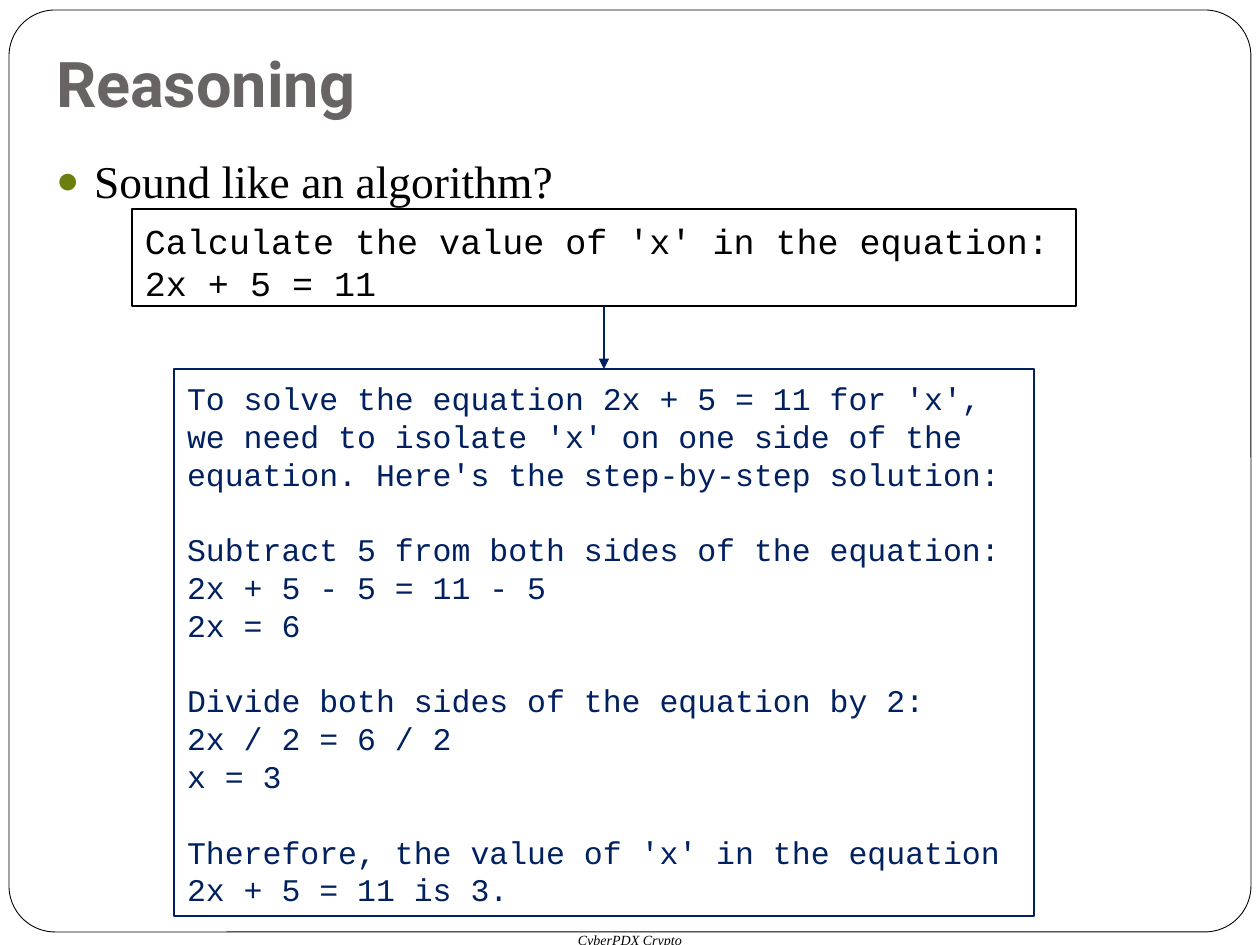
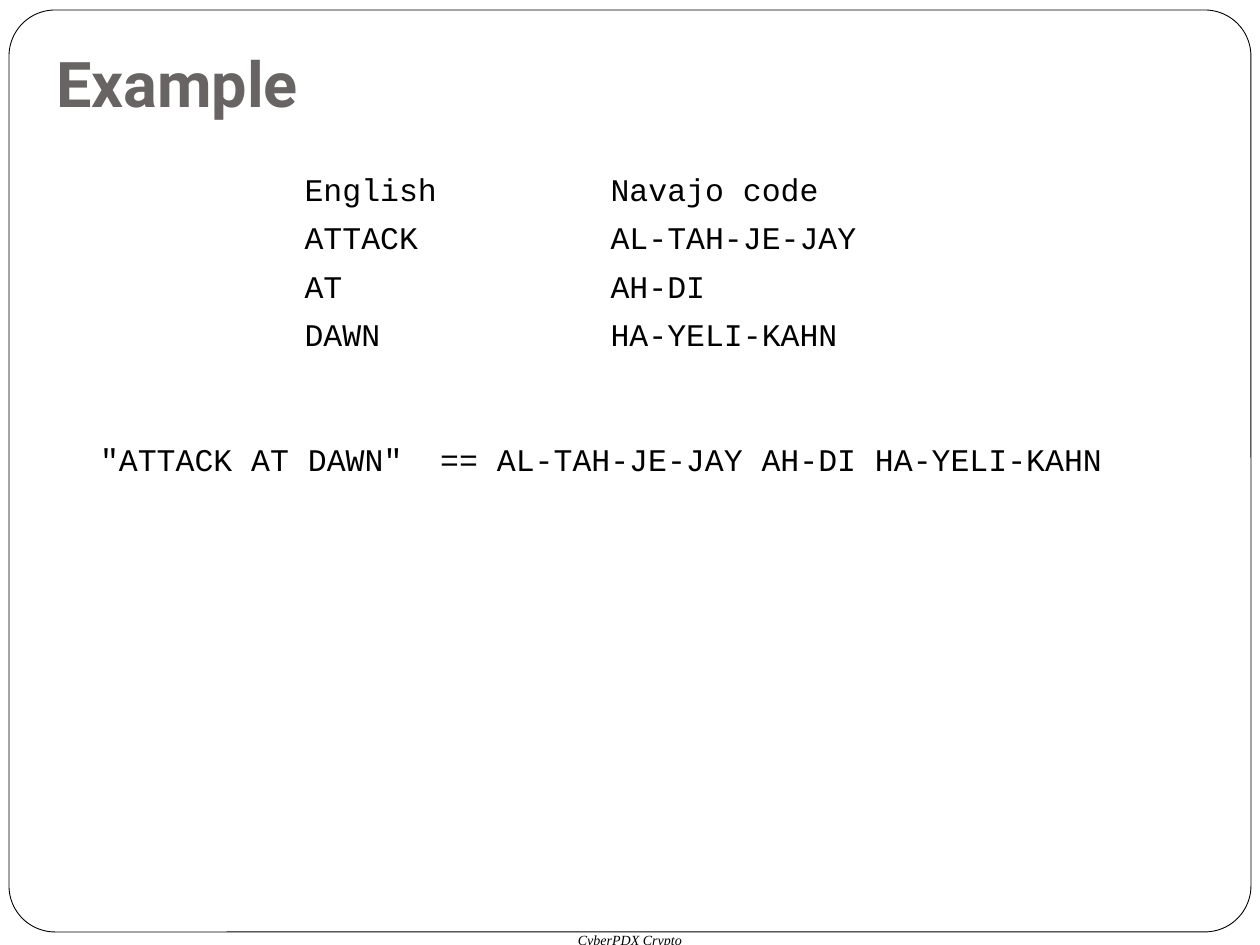
import pptx
import pptx.util
import pptx.dml.color
import pptx.enum.shapes
import pptx.enum.text
import pptx.oxml
import pptx.oxml.ns

PX = 914400 / 126
BLACK, NAVY, GREY, OLIVE = "000000", "002060", "696464", "6A7F10"
MONO, SERIF, SANS = "Courier New", "Times New Roman", "Roboto"
TOP = pptx.enum.text.MSO_ANCHOR.TOP
MIDDLE = pptx.enum.text.MSO_ANCHOR.MIDDLE
LEFT = pptx.enum.text.PP_ALIGN.LEFT
CENTER = pptx.enum.text.PP_ALIGN.CENTER
SHAPES = pptx.enum.shapes.MSO_SHAPE

FOOTER = "CyberPDX Crypto"
QUESTION = "Sound like an algorithm?"
PROMPT = [["Calculate the value of 'x' in the equation: 2x + 5 = 11"]]
ANSWER = [
    ["To solve the equation 2x + 5 = 11 for 'x', we need to isolate 'x' on one side "
     "of the equation. Here's the step-by-step solution:"],
    ["Subtract 5 from both sides of the equation:", "2x + 5 - 5 = 11 - 5", "2x = 6"],
    ["Divide both sides of the equation by 2:", "2x / 2 = 6 / 2", "x = 3"],
    ["Therefore, the value of 'x' in the equation 2x + 5 = 11 is 3."],
]
CODE_WORDS = [
    ("English", "Navajo code"),
    ("ATTACK", "AL-TAH-JE-JAY"),
    ("AT", "AH-DI"),
    ("DAWN", "HA-YELI-KAHN"),
]
MESSAGE = '"ATTACK AT DAWN"  == AL-TAH-JE-JAY AH-DI HA-YELI-KAHN'

FRAME_BOX = (9, 10, 1242, 922)
FOOTER_BOX = (0, 925, 1260, 20)
TITLE_BOX = (43, 29, 1174, 106)
QUESTION_BOX = (43, 135, 1174, 797)
PROMPT_BOX = (132, 209, 944, 97)
ANSWER_BOX = (174, 369, 860, 547)
TABLE_AT = (292, 169)
COLUMNS, ROW = (306, 328), 48
MESSAGE_BOX = (43, 422, 1174, 510)


def px(n):
    return pptx.util.Emu(round(n * PX))


def box(rect):
    return [px(n) for n in rect]


def rgb(value):
    return pptx.dml.color.RGBColor.from_string(value)


def element(xml):
    return pptx.oxml.parse_xml(xml.replace("/>", f' {pptx.oxml.ns.nsdecls("a")}/>', 1))


def write(p, text, size=18, font=MONO, color=BLACK, bold=False, italic=False,
          align=LEFT, before=0, leading=None):
    p.alignment = align
    p.space_before = pptx.util.Pt(before)
    if leading:
        p.line_spacing = pptx.util.Pt(leading)
    r = p.add_run()
    r.text = text
    r.font.size, r.font.name = pptx.util.Pt(size), font
    r.font.bold, r.font.italic = bold, italic
    r.font.color.rgb = rgb(color)


def frame_text(sp, insets, anchor=TOP):
    tf = sp.text_frame
    tf.word_wrap = True
    tf.auto_size = pptx.enum.text.MSO_AUTO_SIZE.NONE
    tf.vertical_anchor = anchor
    tf.margin_left, tf.margin_top, tf.margin_right, tf.margin_bottom = box(insets)
    return tf


def place(sp, rect):
    sp.left, sp.top, sp.width, sp.height = box(rect)


def outline(s, kind, rect, color, width):
    sp = s.shapes.add_shape(kind, *box(rect))
    sp.shadow.inherit = False
    sp.fill.background()
    sp.line.color.rgb = rgb(color)
    sp.line.width = pptx.util.Pt(width)
    return sp


def add_slide(prs, title):
    s = prs.slides.add_slide(prs.slide_layouts[1])
    frame = outline(s, SHAPES.ROUNDED_RECTANGLE, FRAME_BOX, BLACK, 0.5)
    frame.adjustments[0] = 0.05
    footer = s.shapes.add_textbox(*box(FOOTER_BOX))
    write(frame_text(footer, (0, 6, 0, 0)).paragraphs[0], FOOTER,
          size=8, font=SERIF, italic=True, align=CENTER)
    sp = s.shapes.title
    place(sp, TITLE_BOX)
    write(frame_text(sp, (13, 13, 13, 13), MIDDLE).paragraphs[0], title,
          size=36, font=SANS, color=GREY, bold=True)
    return s


def add_body(s, rect, text, indent, hang, bullet, **style):
    sp = s.placeholders[1]
    place(sp, rect)
    p = frame_text(sp, (13, 18, 13, 13)).paragraphs[0]
    pPr = p._p.get_or_add_pPr()
    pPr.set("marL", str(px(indent)))
    pPr.set("indent", str(px(-hang)))
    for xml in bullet:
        pPr.append(element(xml))
    write(p, text, **style)


def add_code_box(s, rect, groups, size, color):
    sp = outline(s, SHAPES.RECTANGLE, rect, color, 0.75)
    tf = frame_text(sp, (13, 10, 13, 3))
    leading = size * 1.2
    for g, lines in enumerate(groups):
        for i, line in enumerate(lines):
            new_group = g > 0 and i == 0
            p = tf.add_paragraph() if g or i else tf.paragraphs[0]
            write(p, line, size=size, color=color, leading=leading,
                  before=leading if new_group else 0)
    return sp


def add_arrow(s, start, end):
    c = s.shapes.add_connector(pptx.enum.shapes.MSO_CONNECTOR.STRAIGHT, 0, 0, 0, 0)
    c.begin_connect(start, 2)
    c.end_connect(end, 0)
    c.line.color.rgb = rgb(NAVY)
    c.line.width = pptx.util.Pt(0.75)
    c.line._get_or_add_ln().append(element('<a:tailEnd type="triangle"/>'))
    c._element.spPr.append(element("<a:effectLst/>"))


def add_code_table(s):
    rect = (*TABLE_AT, sum(COLUMNS), ROW * len(CODE_WORDS))
    table = s.shapes.add_table(len(CODE_WORDS), len(COLUMNS), *box(rect)).table
    table.first_row = table.horz_banding = False
    for column, width in zip(table.columns, COLUMNS):
        column.width = px(width)
    for i, words in enumerate(CODE_WORDS):
        for j, word in enumerate(words):
            cell = table.cell(i, j)
            cell.fill.background()
            cell.vertical_anchor = MIDDLE
            write(cell.text_frame.paragraphs[0], word)


def main():
    prs = pptx.Presentation()
    prs.slide_width, prs.slide_height = px(1260), px(945)

    s = add_slide(prs, "Reasoning")
    bullet = [f'<a:buClr><a:srgbClr val="{OLIVE}"/></a:buClr>',
              '<a:buSzPct val="85000"/>', '<a:buChar char="●"/>']
    bullet[0] = bullet[0].replace("<a:buClr>", f'<a:buClr {pptx.oxml.ns.nsdecls("a")}>')
    add_body(s, QUESTION_BOX, QUESTION, 38, 38, bullet, size=26, font=SERIF)
    prompt = add_code_box(s, PROMPT_BOX, PROMPT, 20, BLACK)
    answer = add_code_box(s, ANSWER_BOX, ANSWER, 18, NAVY)
    add_arrow(s, prompt, answer)

    s = add_slide(prs, "Example")
    add_body(s, MESSAGE_BOX, MESSAGE, 44, 0, ["<a:buNone/>"])
    add_code_table(s)

    prs.save("out.pptx")


if __name__ == "__main__":
    main()
